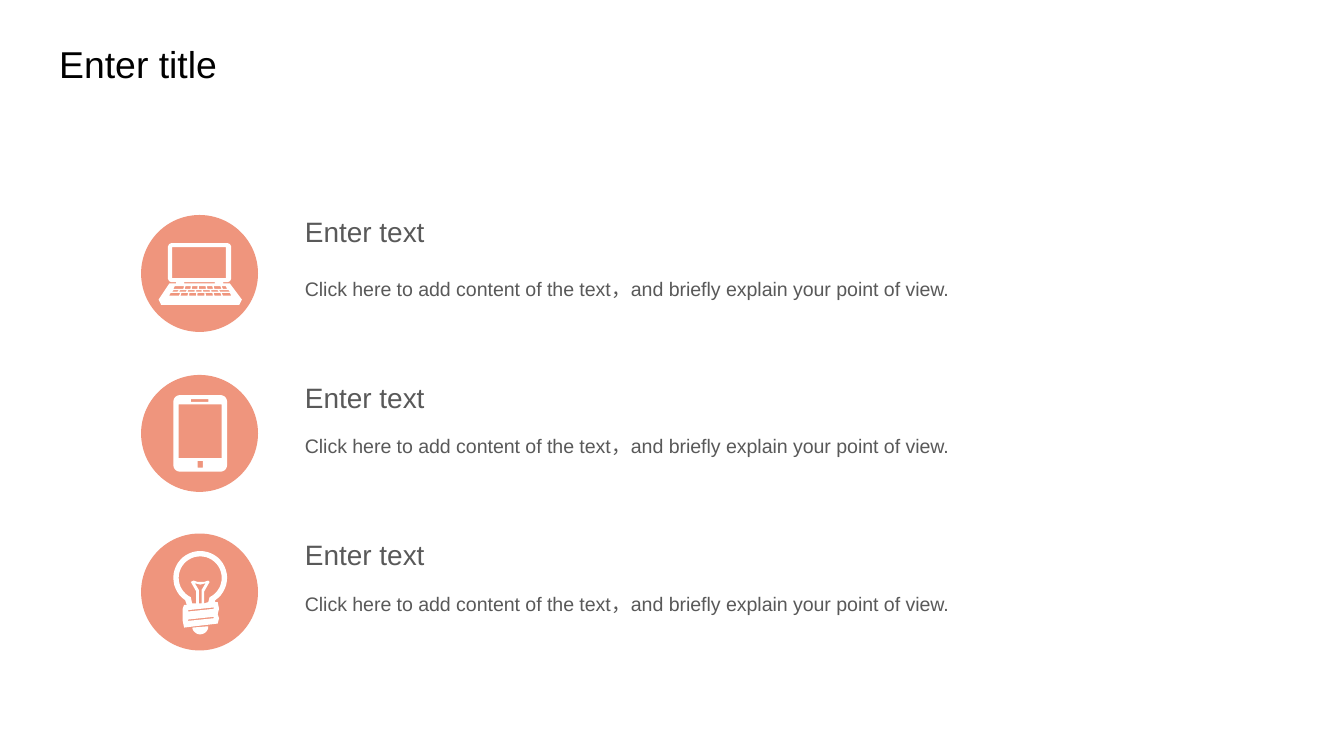
from dataclasses import dataclass
from math import cos, radians, sin

from pptx import Presentation
from pptx import util as u
from pptx.dml.color import RGBColor
from pptx.enum import shapes, text

Point = tuple[float, float]
Path = list[Point]


@dataclass(frozen=True)
class Theme:
    font: str = "Arial"
    black: str = "000000"
    gray: str = "595959"
    coral: str = "EF957D"
    white: str = "FFFFFF"
    title: float = 20
    head: float = 15
    body: float = 10.5


@dataclass(frozen=True)
class Item:
    disc: float
    head: float
    body: float
    icon: list[Path]


THEME = Theme()
LEFT, DISC, TEXT = 1.05, 0.87, 2.17
MID = LEFT + DISC / 2
HEAD = "Enter text"
BODY = "Click here to add content of the text，and briefly explain your point of view."


def arc(x: float, y: float, r: float, start: float, end: float) -> Path:
    """Points along an arc; degrees run clockwise from the right."""
    n = max(6, round(abs(end - start) / 8))
    turns = [radians(start + (end - start) * i / n) for i in range(n + 1)]
    return [(x + r * cos(t), y + r * sin(t)) for t in turns]


def box(x1: float, y1: float, x2: float, y2: float, r: float = 0) -> Path:
    if not r:
        return [(x1, y1), (x2, y1), (x2, y2), (x1, y2)]
    return (arc(x1 + r, y1 + r, r, 180, 270) + arc(x2 - r, y1 + r, r, 270, 360)
            + arc(x2 - r, y2 - r, r, 0, 90) + arc(x1 + r, y2 - r, r, 90, 180))


def keys(top: float, low: float, edges: list[float]) -> list[Path]:
    """One row of keys that fan out towards the front edge."""
    def fan(x: float) -> float:
        return MID + (x - MID) * 1.05

    row = []
    for a, b in zip(edges, edges[1:]):
        b -= 0.01
        row.append([(a, top), (b, top), (fan(b), low), (fan(a), low)])
    return row


def laptop() -> list[Path]:
    lid = box(1.25, 1.81, 1.72, 2.1, 0.03)
    base = [(1.66, 2.1), (1.66, 2.11), (1.71, 2.11), (1.8, 2.23), (1.78, 2.27),
            (1.2, 2.27), (1.18, 2.23), (1.26, 2.11), (1.31, 2.11), (1.31, 2.1)]
    return [lid, base, box(1.28, 1.84, 1.68, 2.07), box(1.37, 2.1, 1.6, 2.11),
            *keys(2.13, 2.15, [1.3, 1.38, 1.43, 1.48, 1.54, 1.59, 1.65, 1.69]),
            *keys(2.16, 2.17, [1.29, 1.34, 1.4, 1.46, 1.51, 1.57, 1.63, 1.71]),
            *keys(2.18, 2.2, [1.27, 1.35, 1.41, 1.47, 1.53, 1.59, 1.65, 1.72])]


def phone() -> list[Path]:
    return [box(1.29, 2.94, 1.69, 3.51, 0.05), box(1.33, 3.01, 1.65, 3.41),
            box(1.42, 2.97, 1.55, 2.99), box(1.47, 3.43, 1.51, 3.48)]


def bulb() -> list[Path]:
    x, y = 1.49, 4.3
    screw = [(1.6, 4.48), (1.62, 4.48), (1.63, 4.53), (1.62, 4.57), (1.63, 4.6),
             (1.62, 4.64), (1.37, 4.67), (1.36, 4.62), (1.36, 4.57),
             (1.36, 4.53), (1.37, 4.5), (1.39, 4.5)]
    wire = [(1.43, 4.49), (1.46, 4.49), (1.46, 4.4), (1.42, 4.33), (1.44, 4.32),
            (1.47, 4.33), (1.49, 4.33), (1.52, 4.33), (1.55, 4.32), (1.56, 4.33),
            (1.52, 4.4), (1.52, 4.49), (1.55, 4.48)]
    core = [(1.45, 4.34), (1.49, 4.35), (1.53, 4.34), (1.5, 4.39),
            (1.5, 4.49), (1.48, 4.49), (1.48, 4.39)]
    slots = [[(1.4, t + 0.02), (1.59, t), (1.59, t + 0.01), (1.4, t + 0.03)]
             for t in (4.52, 4.59)]
    foot = arc(x, 4.66, 0.06, 0, 170)
    return [arc(x, y, 0.2, 124, 416) + screw,
            arc(x, y, 0.16, 116, 424) + wire[::-1], core, foot, *slots]


def paint(shape, color: str) -> None:
    shape.shadow.inherit = False
    shape.fill.solid()
    shape.fill.fore_color.rgb = RGBColor.from_string(color)
    shape.line.fill.background()


def draw(slide, paths: list[Path]) -> None:
    """Join all contours in one shape, so that inner ones become holes."""
    grid = [[(x * 1000, y * 1000) for x, y in path] for path in paths]
    pen = slide.shapes.build_freeform(*grid[0][0], scale=u.Inches(1) / 1000)
    for i, path in enumerate(grid):
        if i:
            pen.move_to(*path[0])
        pen.add_line_segments(path[1:], close=True)
    paint(pen.convert_to_shape(), THEME.white)


def write(shape, words: str, size: float, color: str, wrap: bool = False):
    frame = shape.text_frame
    frame.text = words
    frame.word_wrap = wrap
    frame.auto_size = text.MSO_AUTO_SIZE.NONE
    frame.vertical_anchor = text.MSO_ANCHOR.TOP
    para = frame.paragraphs[0]
    para.alignment = text.PP_ALIGN.LEFT
    para.font.name = THEME.font
    para.font.size = u.Pt(size)
    para.font.color.rgb = RGBColor.from_string(color)
    return para


def label(slide, top: float, wide: float, high: float):
    return slide.shapes.add_textbox(
        u.Inches(TEXT), u.Inches(top), u.Inches(wide), u.Inches(high))


def add(slide, item: Item) -> None:
    disc = slide.shapes.add_shape(
        shapes.MSO_SHAPE.OVAL, u.Inches(LEFT), u.Inches(item.disc),
        u.Inches(DISC), u.Inches(DISC))
    paint(disc, THEME.coral)
    draw(slide, item.icon)
    write(label(slide, item.head, 1.25, 0.35), HEAD, THEME.head, THEME.gray)
    body = label(slide, item.body, 6.91, 0.3)
    write(body, BODY, THEME.body, THEME.gray, wrap=True).line_spacing = 1.3


def main() -> None:
    deck = Presentation()
    deck.slide_width = u.Inches(10)
    deck.slide_height = u.Inches(10 * 9 / 16)
    slide = deck.slides.add_slide(deck.slide_layouts[5])
    title = slide.shapes.title
    title.left, title.top = u.Inches(0.34), u.Inches(0.26)
    title.width, title.height = u.Inches(1.74), u.Inches(0.44)
    write(title, "Enter title", THEME.title, THEME.black)
    for item in (Item(1.6, 1.55, 1.96, laptop()),
                 Item(2.79, 2.78, 3.13, phone()),
                 Item(3.97, 3.95, 4.3, bulb())):
        add(slide, item)
    deck.save("out.pptx")


if __name__ == "__main__":
    main()
